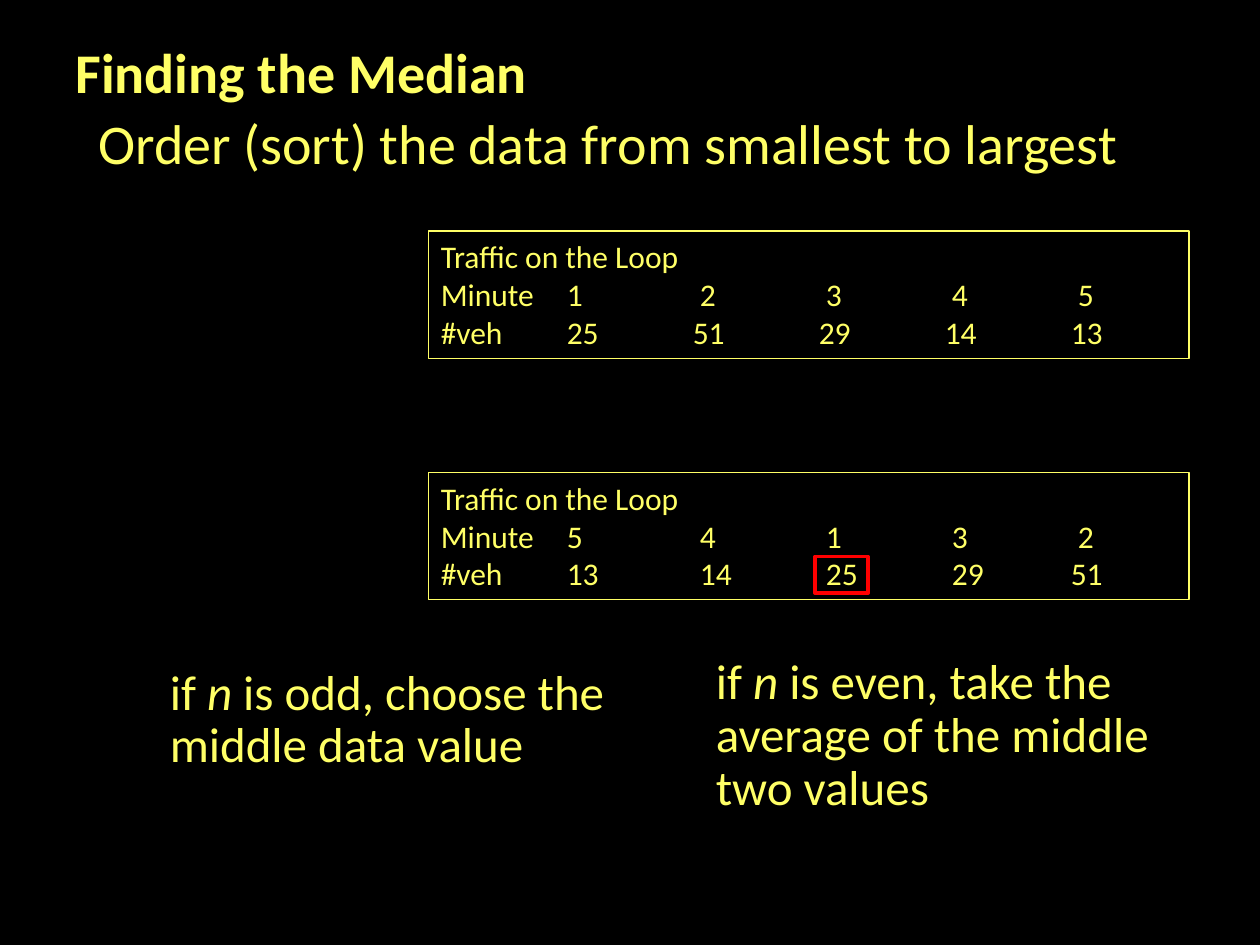
from lxml import etree
from pptx import Presentation
from pptx.dml.color import RGBColor
from pptx.enum.shapes import MSO_SHAPE
from pptx.enum.text import MSO_ANCHOR, PP_ALIGN
from pptx.oxml.ns import qn
from pptx.util import Pt

RECT = MSO_SHAPE.RECTANGLE
TOP = MSO_ANCHOR.TOP
LEFT = PP_ALIGN.LEFT

HUES = {"back": "000000", "text": "FFFF66", "mark": "FF0000"}


def hue(name):
    return RGBColor.from_string(HUES[name])


def set_tabs(para, step, count):
    """Give a paragraph evenly spaced left tab stops."""
    stops = etree.SubElement(para._p.get_or_add_pPr(), qn("a:tabLst"))
    for i in range(1, count + 1):
        etree.SubElement(stops, qn("a:tab"), pos=str(Pt(step * i)), algn="l")


def write(frame, lines, size=18, bold=False, space=None, inset=7.2, tabs=0, font="Calibri"):
    """Fill a frame; each line is a list of (text, italic) runs."""
    frame.word_wrap = True
    frame.vertical_anchor = TOP
    frame.margin_left = Pt(inset)
    for i, line in enumerate(lines):
        para = frame.paragraphs[0] if i == 0 else frame.add_paragraph()
        para.alignment = LEFT
        if space:
            para.line_spacing = space
        if tabs:
            set_tabs(para, 72, tabs)
        for text, slant in line:
            run = para.add_run()
            run.text = text
            run.font.name = font
            run.font.size = Pt(size)
            run.font.bold = bold
            run.font.italic = slant
            run.font.color.rgb = hue("text")


class Page:
    """Holds the slide and draws each kind of element on it, in points."""

    def __init__(self, slide):
        self.slide = slide
        fill = slide.background.fill
        fill.solid()
        fill.fore_color.rgb = hue("back")

    def label(self, spot, runs, **style):
        box = self.slide.shapes.add_textbox(*map(Pt, spot))
        write(box.text_frame, [runs], **style)

    def frame(self, spot, line="text", width=0.75):
        box = self.slide.shapes.add_shape(RECT, *map(Pt, spot))
        box.shadow.inherit = False
        box.fill.background()
        box.line.color.rgb = hue(line)
        box.line.width = Pt(width)
        return box

    def counts(self, top, rows):
        """Draw a framed list whose columns sit on tab stops."""
        box = self.frame((244.8, top, 434.6, 72.7))
        lines = ["Traffic on the Loop"] + ["\t".join(row) for row in rows]
        write(box.text_frame, [[(line, False)] for line in lines], tabs=5)


def main():
    deck = Presentation()
    deck.slide_width, deck.slide_height = Pt(720), Pt(540)
    page = Page(deck.slides.add_slide(deck.slide_layouts[6]))

    page.label((36, 18, 275, 46), [("Finding the Median", False)], size=32, bold=True)
    page.label((41.8, 62.6, 638.6, 77.8),
               [("Order (sort) the data from smallest to largest", False)],
               size=32, space=0.9, inset=14.4)

    rules = [
        ((90, 378, 264.2, 68.4), " is odd, choose the middle data value"),
        ((402, 372.2, 297.4, 98.6), " is even, take the average of the middle two values"),
    ]
    for spot, rest in rules:
        page.label(spot, [("if ", False), ("n", True), (rest, False)], size=28, space=0.9)

    page.counts(132, [
        ("Minute", "1", " 2", " 3", " 4", " 5"),
        ("#veh", "25", "51", "29", "14", "13"),
    ])
    page.counts(270, [
        ("Minute", "5", " 4", " 1", " 3", " 2"),
        ("#veh", "13", " 14", " 25", " 29", "51"),
    ])
    page.frame((465.8, 318, 30.2, 21), line="mark", width=2)

    deck.save("out.pptx")


if __name__ == "__main__":
    main()
